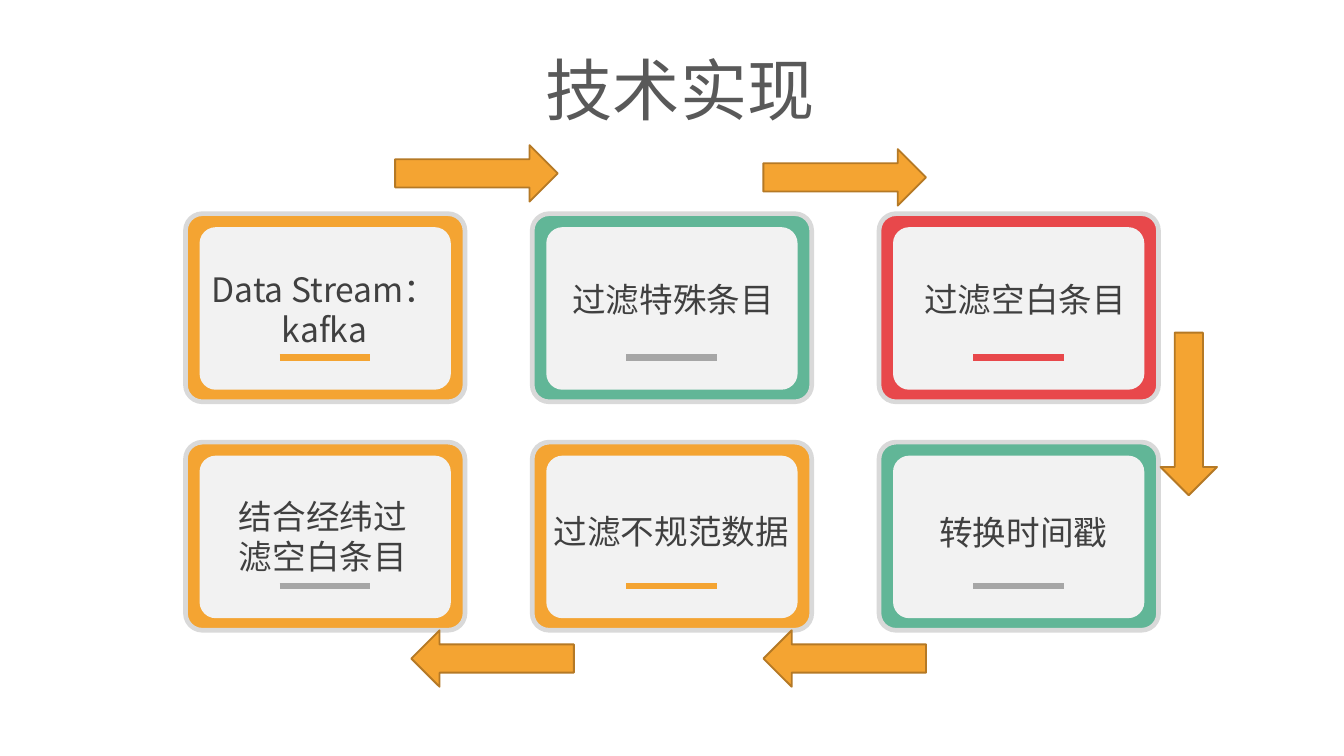
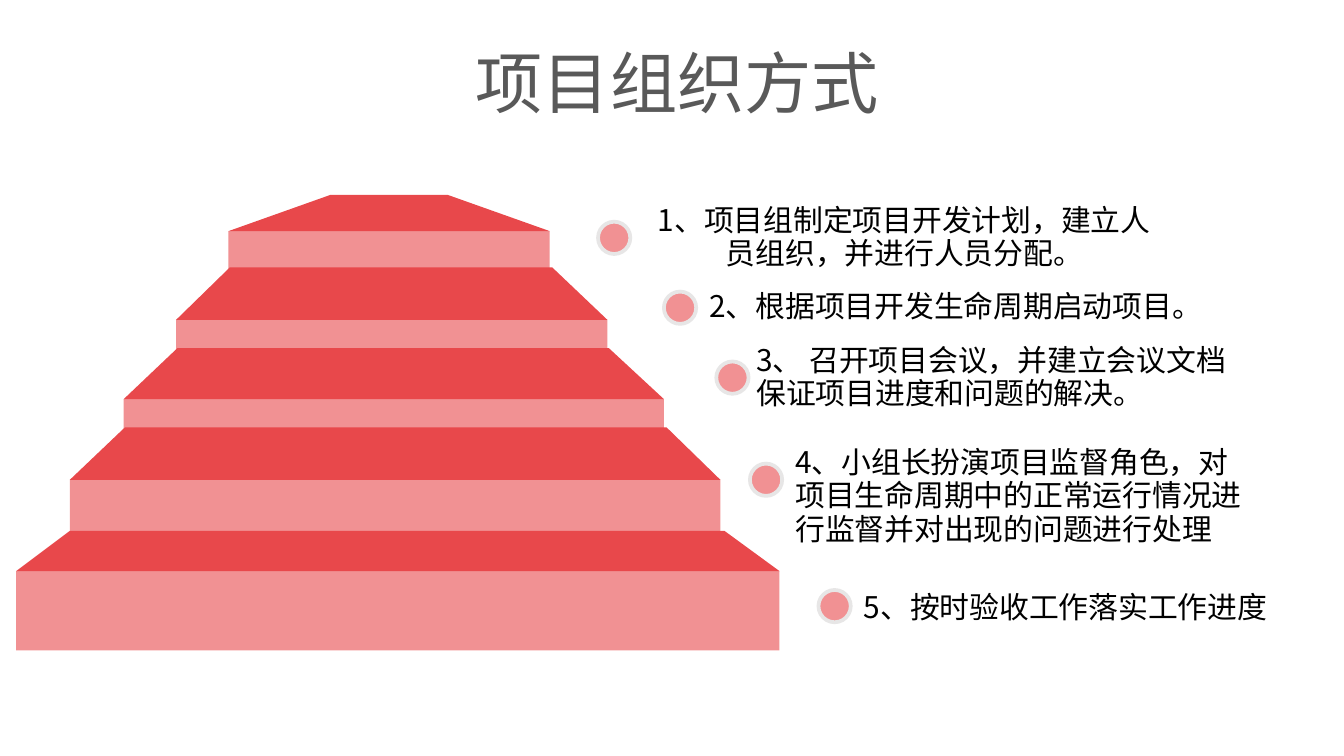
from lxml.etree import SubElement
from pptx import Presentation
from pptx.dml.color import RGBColor
from pptx.enum.shapes import MSO_CONNECTOR, MSO_SHAPE
from pptx.enum.text import MSO_AUTO_SIZE as AutoSize, PP_ALIGN as Align
from pptx.oxml.ns import qn
from pptx.util import Inches, Pt

# Shared look: a grid of 100 columns, with square cells
WIDTH = Inches(10)
HEIGHT = WIDTH * 9 // 16
CELL = WIDTH / 100

COLORS = {
    "orange": "F4A432", "green": "61B697", "red": "E8484B", "pink": "F19193",
    "panel": "F2F2F2", "rim": "D9D9D9", "ring": "E7E6E6", "grey": "A6A6A6",
    "arrow edge": "B57925", "title": "595959", "label": "404040", "body": "000000",
}
CJK_FONT = "Noto Sans CJK SC"
TITLE_FONT = "Calibri"

# Process cards: label lines, label (left, top, width, height) within the card, alignment, fill, rule
CARD_LEFT, CARD_TOP = 13.8, 15.9
CARD_STEP_X, CARD_STEP_Y = 25.8, 17
CARD_WIDTH, CARD_HEIGHT = 20.8, 14
CARDS = [
    [
        (["Data Stream：", "kafka"], (-0.5, 3.6, 21.7, 7.1), Align.CENTER, "orange", "orange"),
        (["过滤特殊条目"], (2, 4.4, 18.8, 4), Align.LEFT, "green", "grey"),
        (["过滤空白条目"], (2.4, 4.4, 17.3, 4), Align.LEFT, "red", "red"),
    ],
    [
        (["结合经纬过滤空白条目"], (3, 3.5, 14.7, 7.1), Align.LEFT, "orange", "grey"),
        (["过滤不规范数据"], (-0.7, 4.6, 22.1, 4), Align.CENTER, "orange", "orange"),
        (["转换时间戳"], (3.5, 4.7, 14.7, 4), Align.LEFT, "green", "grey"),
    ],
]
# Arrows between cards: left, top, rotation
ARROWS = [(29.4, 10.8, 0), (56.8, 11.1, 0), (82.4, 28.7, 90), (56.8, 46.9, 180), (30.6, 46.9, 180)]

# Stairs: tread corners (left, back left, back right, right), back edge, front edge, riser bottom
STAIRS = [
    ((17, 24.6, 33.3, 40.9), 14.5, 17.2, 25.7),
    ((13.1, 17.1, 41.1, 45.2), 19.9, 23.8, 31.5),
    ((9.2, 13.2, 45.3, 49.4), 25.9, 29.7, 37.4),
    ((5.2, 9.3, 49.6, 53.6), 31.8, 35.7, 43.3),
    ((1.2, 5.2, 53.9, 58), 39.5, 42.5, 48.4),
]
# Steps: dot corner, text (left, top, width, height), alignment, lines
STEPS = [
    ((44.5, 16.5), (46.9, 15.5, 40.8, 5.3), Align.CENTER,
     ["1、项目组制定项目开发计划，建立人", "员组织，并进行人员分配。"]),
    ((49.4, 21.7), (51.8, 21.9, 42.7, 2.7), Align.JUSTIFY,
     ["2、根据项目开发生命周期启动项目。"]),
    ((53.3, 26.9), (55.3, 25.9, 38.3, 5.3), Align.JUSTIFY,
     ["3、 召开项目会议，并建立会议文档", "保证项目进度和问题的解决。"]),
    ((55.8, 34.5), (58.2, 33.5, 36.3, 7.7), Align.JUSTIFY,
     ["4、小组长扮演项目监督角色，对", "项目生命周期中的正常运行情况进", "行监督并对出现的问题进行处理"]),
    ((60.9, 43.9), (63.3, 44.3, 33.4, 2.8), Align.JUSTIFY,
     ["5、按时验收工作落实工作进度"]),
]


def cells(*counts):
    return [round(count * CELL) for count in counts]


def color(name):
    return RGBColor.from_string(COLORS[name])


def paint(shape, fill, edge=None, edge_width=0):
    shape.shadow.inherit = False
    shape.fill.solid()
    shape.fill.fore_color.rgb = color(fill)
    if edge:
        shape.line.color.rgb = color(edge)
        shape.line.width = Pt(edge_width)
    else:
        shape.line.fill.background()


def add_figure(shapes, kind, area, fill, edge=None, edge_width=0):
    figure = shapes.add_shape(kind, *cells(*area))
    paint(figure, fill, edge, edge_width)
    return figure


def add_box(page, area, wrap=True):
    box = page.shapes.add_textbox(*cells(*area))
    box.text_frame.word_wrap = wrap
    box.text_frame.auto_size = AutoSize.SHAPE_TO_FIT_TEXT
    return box.text_frame


def add_span(para, text, size, ink, font=CJK_FONT):
    span = para.add_run()
    span.text = text
    span.font.size = Pt(size)
    span.font.name = font
    span.font.color.rgb = color(ink)
    SubElement(span.font._element, qn("a:ea")).set("typeface", CJK_FONT)


def add_title(page, text, area):
    frame = add_box(page, area, wrap=False)
    frame.margin_left = frame.margin_right = Inches(0.07)
    frame.margin_top = frame.margin_bottom = Inches(0.04)
    add_span(frame.paragraphs[0], text, 36, "title", TITLE_FONT)


def add_card(page, left, top, fill):
    shapes = page.shapes.add_group_shape().shapes
    border = add_figure(shapes, MSO_SHAPE.ROUNDED_RECTANGLE,
                        (left, top, CARD_WIDTH, CARD_HEIGHT), fill, "rim", 2.5)
    border.adjustments[0] = 0.09
    panel = add_figure(shapes, MSO_SHAPE.ROUNDED_RECTANGLE,
                       (left + 1.05, top + 1, 18.7, 12.1), "panel")
    panel.adjustments[0] = 0.1


def add_label(page, lines, area, align):
    para = add_box(page, area).paragraphs[0]
    para.alignment = align
    for index, line in enumerate(lines):
        if index:
            para.add_line_break()
        add_span(para, line, 18, "label")


def add_rule(page, left, top, length, ink):
    rule = page.shapes.add_connector(MSO_CONNECTOR.STRAIGHT, *cells(left, top, left + length, top))
    rule.line.color.rgb = color(ink)
    rule.line.width = Pt(3.5)
    SubElement(rule._element.spPr, qn("a:effectLst"))


def add_stair(page, corners, back, front, bottom):
    shapes = page.shapes.add_group_shape().shapes
    left, back_left, back_right, right = corners
    add_figure(shapes, MSO_SHAPE.RECTANGLE, (left, front, right - left, bottom - front), "pink")
    outline = shapes.build_freeform(*cells(left, front))
    outline.add_line_segments(
        [cells(back_left, back), cells(back_right, back), cells(right, front)], close=True)
    paint(outline.convert_to_shape(), "red")


def add_dot(page, left, top):
    shapes = page.shapes.add_group_shape().shapes
    add_figure(shapes, MSO_SHAPE.OVAL, (left, top, 2.4, 2.4), "pink", "ring", 2)
    add_figure(shapes, MSO_SHAPE.OVAL, (left + 0.5, top + 0.5, 1.4, 1.4), "pink")


def add_step_text(page, area, align, lines):
    frame = add_box(page, area)
    for index, line in enumerate(lines):
        para = frame.add_paragraph() if index else frame.paragraphs[0]
        para.alignment = align
        para.line_spacing = Pt(12)
        para.space_after = Pt(6 if line != STEPS[-1][-1][-1] else 0)
        add_span(para, line, 16, "body")


def build_process(page):
    for row, cards in enumerate(CARDS):
        for column, (lines, offset, align, fill, rule) in enumerate(cards):
            left = CARD_LEFT + column * CARD_STEP_X
            top = CARD_TOP + row * CARD_STEP_Y
            add_card(page, left, top, fill)
            label_left, label_top, width, height = offset
            add_label(page, lines, (left + label_left, top + label_top, width, height), align)
            add_rule(page, left + 7, top + 10.7, 6.75, rule)
    add_title(page, "技术实现", (39.9, 3.2, 21.6, 6.8))
    for left, top, turn in ARROWS:
        arrow = add_figure(page.shapes, MSO_SHAPE.RIGHT_ARROW, (left, top, 12.1, 4.2),
                           "orange", "arrow edge", 1)
        arrow.rotation = turn


def build_organisation(page):
    for stair in STAIRS:
        add_stair(page, *stair)
    for dot, area, align, lines in STEPS:
        add_dot(page, *dot)
        add_step_text(page, area, align, lines)
    add_title(page, "项目组织方式", (34.7, 2.7, 31.7, 6.8))


def main():
    deck = Presentation()
    deck.slide_width, deck.slide_height = WIDTH, HEIGHT
    for build in (build_process, build_organisation):
        build(deck.slides.add_slide(deck.slide_layouts[6]))
    deck.save("out.pptx")


if __name__ == "__main__":
    main()
